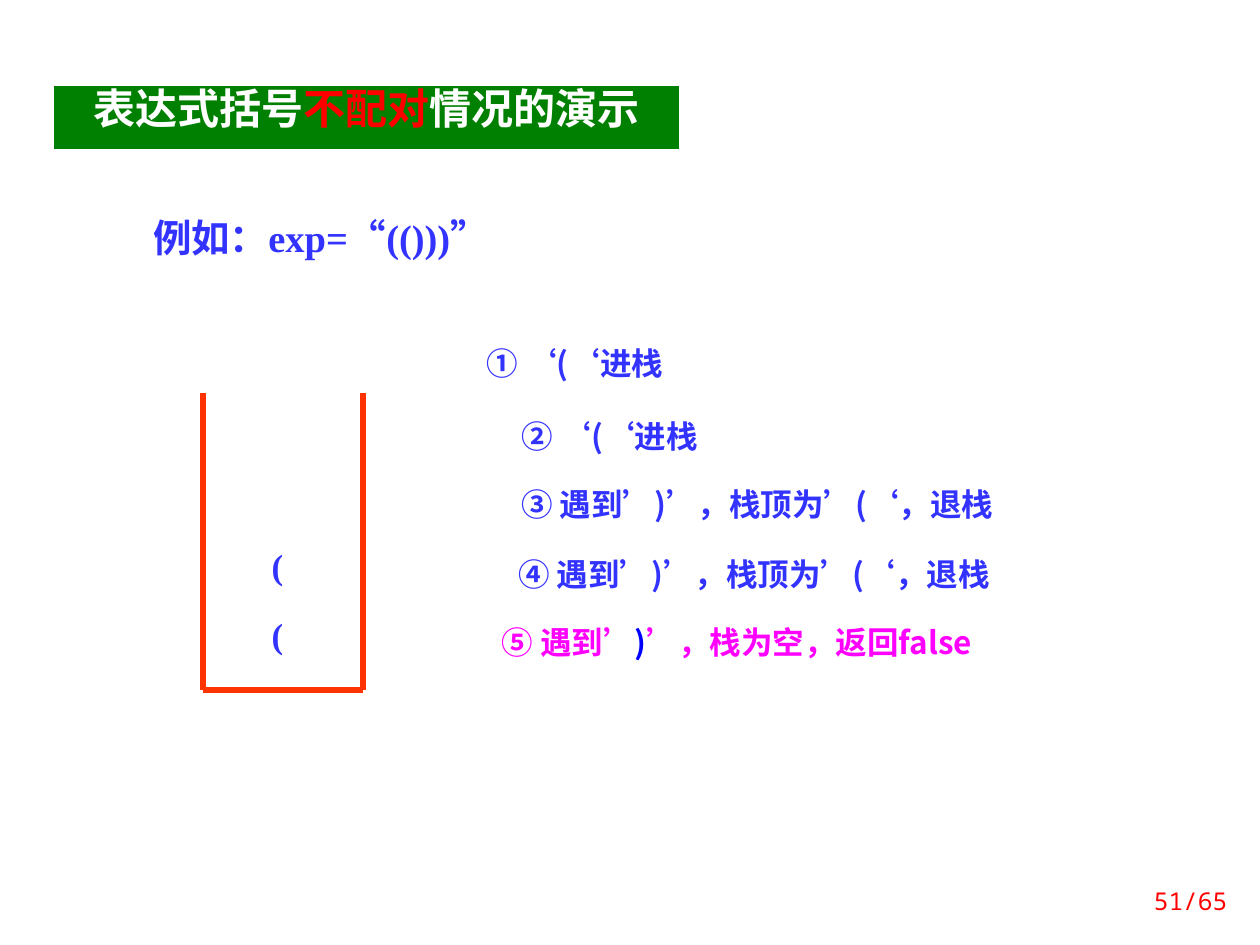
from lxml import etree
from pptx import Presentation
from pptx.dml.color import RGBColor
from pptx.enum.shapes import MSO_CONNECTOR
from pptx.enum.text import MSO_ANCHOR, MSO_AUTO_SIZE, PP_ALIGN
from pptx.oxml.ns import qn
from pptx.util import Pt

LINE = MSO_CONNECTOR.STRAIGHT
TOP, MIDDLE = MSO_ANCHOR.TOP, MSO_ANCHOR.MIDDLE
FIXED = MSO_AUTO_SIZE.NONE
CENTER, RIGHT = PP_ALIGN.CENTER, PP_ALIGN.RIGHT
SCALE = 914400 / 126
SANS, SERIF, MONO = "Noto Sans CJK SC", "Times New Roman", "Noto Sans Mono"
BLUE, RED, PINK = "3333FF", "FF0000", "FF00FF"


def px(*values):
    return [round(v * SCALE) for v in values]


def write(shape, box, runs, size, face, bold=True, align=CENTER, anchor=TOP, gap=0.8):
    shape.left, shape.top, shape.width, shape.height = px(*box)
    frame = shape.text_frame
    frame.auto_size = FIXED
    frame.word_wrap = False
    frame.vertical_anchor = anchor
    para = frame.paragraphs[0]
    para.alignment = align
    para.line_spacing = gap
    para.font.size = Pt(size)
    para.font.name = face
    para.font.bold = bold
    for text, color in runs:
        run = para.add_run()
        run.text = text
        run.font.color.rgb = RGBColor.from_string(color)


deck = Presentation()
deck.slide_width, deck.slide_height = px(1260, 945)
slide = deck.slides.add_slide(deck.slide_layouts[5])
shapes = slide.shapes

title = shapes.title
title.fill.solid()
title.fill.fore_color.rgb = RGBColor.from_string("008000")
heading = [("表达式括号", "FFFFFF"), ("不配对", RED), ("情况的演示", "FFFFFF")]
write(title, (54, 86, 625, 63), heading, 24, SANS)

left, right, top, base = 203, 363, 393, 690
stack = [(left, top, left, base), (left, base, right, base), (right, top, right, base)]
for ends in stack:
    wall = shapes.add_connector(LINE, *px(*ends))
    wall.line.color.rgb = RGBColor.from_string("FF3300")
    wall.line.width = Pt(3)
    etree.SubElement(wall._element.spPr, qn("a:effectLst"))

push = "‘(‘进栈"
pop = "遇到’)’，栈顶为’(‘，退栈"
fail = [("⑤ 遇到’", PINK), (")", "0000FF"), ("’，栈为空，返回false", PINK)]
labels = [
    ((88, 217, 466, 59), [("例如：exp=“(()))”", BLUE)], 22, SERIF),
    ((233, 546, 89, 55), [("(", BLUE)], 20, SERIF),
    ((233, 615, 89, 55), [("(", BLUE)], 20, SERIF),
    ((461, 345, 228, 50), [("① " + push, BLUE)], 18, SANS),
    ((461, 418, 297, 50), [("② " + push, BLUE)], 18, SANS),
    ((464, 486, 586, 50), [("③ " + pop, BLUE)], 18, SANS),
    ((461, 556, 586, 50), [("④ " + pop, BLUE)], 18, SANS),
    ((461, 624, 552, 50), fail, 18, SANS),
]
for box, runs, size, face in labels:
    write(shapes.add_textbox(0, 0, 0, 0), box, runs, size, face)

page = shapes.add_textbox(0, 0, 0, 0)
write(page, (1116, 876, 124, 50), [("51/65", RED)], 14, MONO, False, RIGHT, MIDDLE, 1.0)

deck.save("out.pptx")
